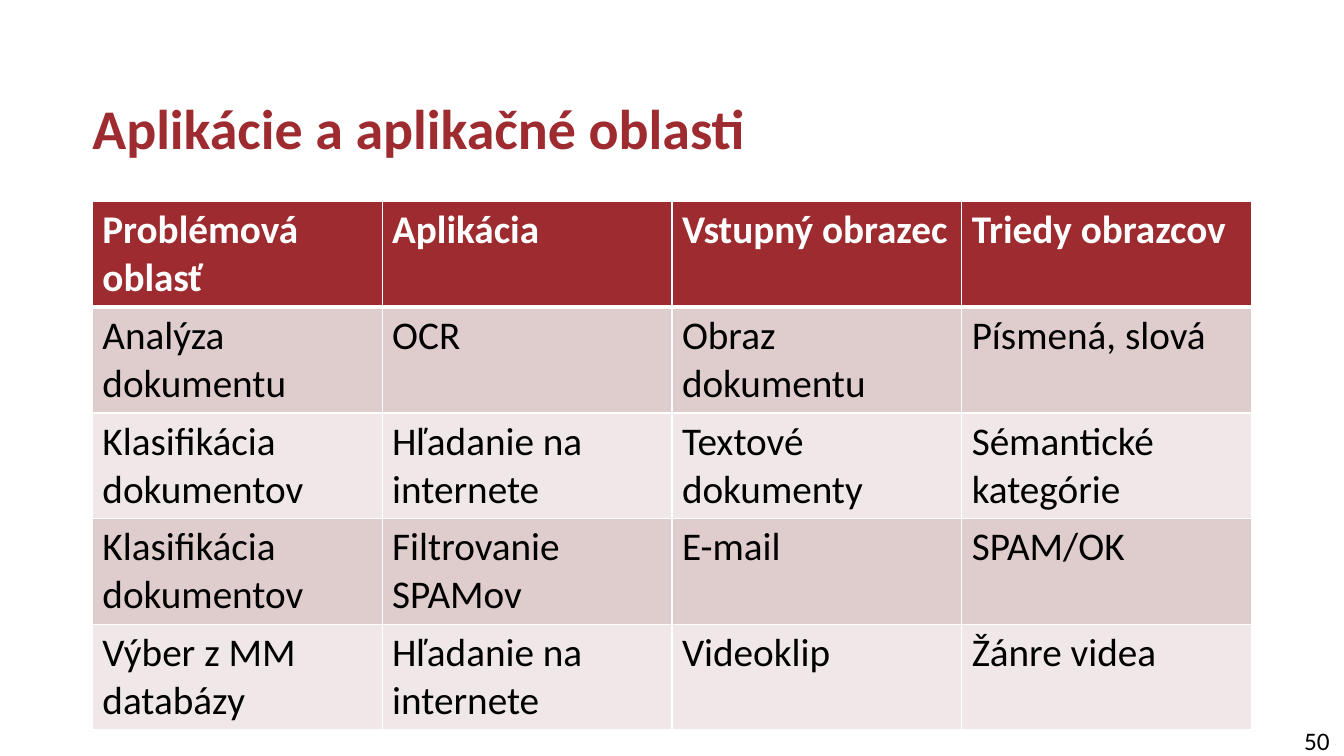
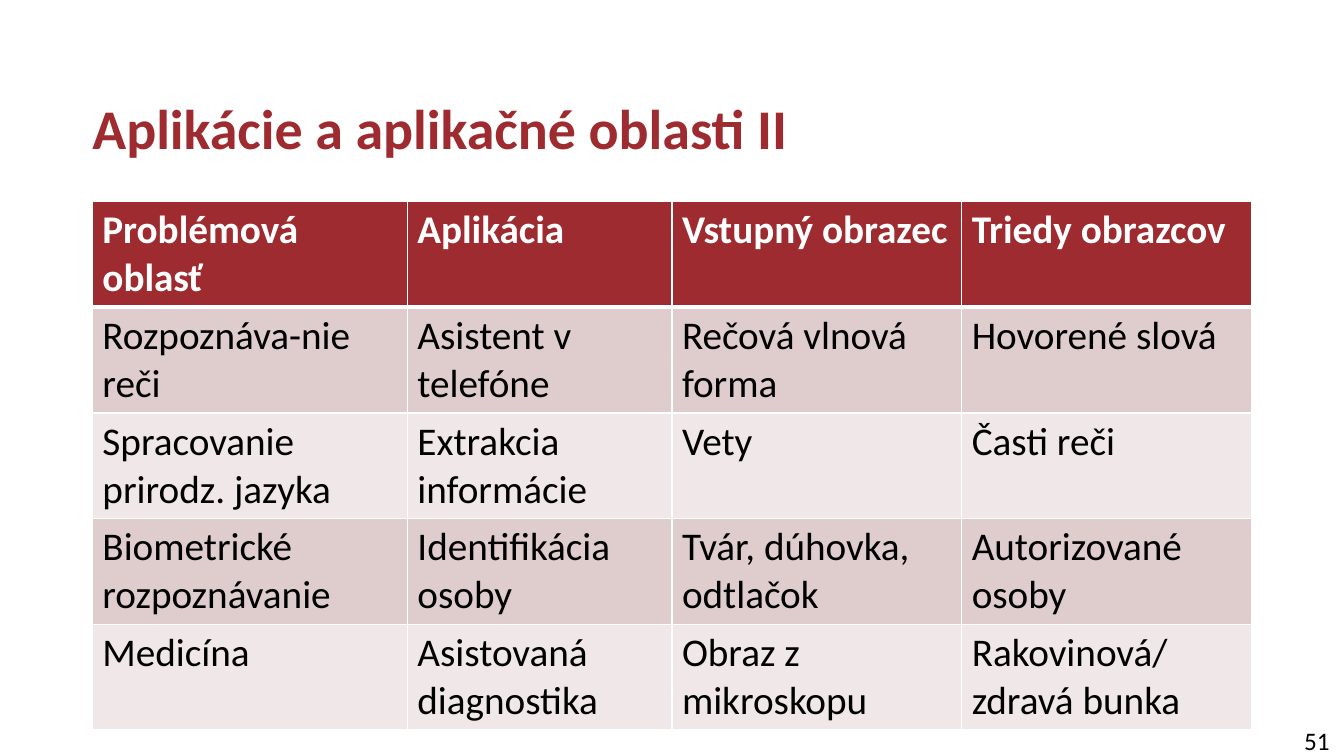
from pptx import Presentation
from pptx.dml.color import RGBColor
from pptx.enum.text import MSO_ANCHOR
from pptx.oxml.ns import qn
from pptx.util import Pt
from lxml.etree import SubElement

HUES = {"red": "9E2B2F", "rose": "DFCDCD", "pale": "F0E8E8",
        "white": "FFFFFF", "black": "000000"}
FONTS = {
    "title": {"size": Pt(40), "bold": True, "hue": "red"},
    "head": {"size": Pt(28), "bold": True, "hue": "white"},
    "body": {"size": Pt(28), "bold": False, "hue": "black"},
    "page": {"size": Pt(18), "bold": False, "hue": "black"},
}
LEFT, ROW = 66, 75.5
HEAD = ["Problémová oblasť", "Aplikácia", "Vstupný obrazec", "Triedy obrazcov"]
SLIDES = [
    (50, "Aplikácie a aplikačné oblasti", [207, 207, 207, 207], [
        ["Analýza dokumentu", "OCR", "Obraz dokumentu", "Písmená, slová"],
        ["Klasifikácia dokumentov", "Hľadanie na internete",
         "Textové dokumenty", "Sémantické kategórie"],
        ["Klasifikácia dokumentov", "Filtrovanie SPAMov", "E-mail", "SPAM/OK"],
        ["Výber z MM databázy", "Hľadanie na internete", "Videoklip", "Žánre videa"],
    ]),
    (51, "Aplikácie a aplikačné oblasti II", [225, 189, 207, 207], [
        ["Rozpoznáva-nie reči", "Asistent v telefóne",
         "Rečová vlnová forma", "Hovorené slová"],
        ["Spracovanie prirodz. jazyka", "Extrakcia informácie", "Vety", "Časti reči"],
        ["Biometrické rozpoznávanie", "Identifikácia osoby",
         "Tvár, dúhovka, odtlačok", "Autorizované osoby"],
        ["Medicína", "Asistovaná diagnostika",
         "Obraz z mikroskopu", "Rakovinová/ zdravá bunka"],
    ]),
]


def color(hue):
    return RGBColor.from_string(HUES[hue])


def write(frame, text, style):
    para = frame.paragraphs[0]
    run = para.add_run()
    run.text = text
    run.font.name = "Calibri"
    for key, value in FONTS[style].items():
        if key == "hue":
            run.font.color.rgb = color(value)
        else:
            setattr(run.font, key, value)
    return para


def add_text(slide, place, text, style, **props):
    frame = slide.shapes.add_textbox(*map(Pt, place)).text_frame
    for key, value in props.items():
        setattr(frame, key, value)
    return write(frame, text, style)


def add_edges(cell, top, base):
    props = cell._tc.get_or_add_tcPr()
    for side, width in {"L": 1, "R": 1, "T": top, "B": base}.items():
        line = SubElement(props, qn("a:ln" + side), w=str(Pt(width)))
        fill = SubElement(line, qn("a:solidFill"))
        SubElement(fill, qn("a:srgbClr"), val=HUES["white"])


def add_grid(slide, widths, rows):
    table = slide.shapes.add_table(
        len(rows), len(widths), Pt(LEFT), Pt(144),
        Pt(sum(widths)), Pt(ROW * len(rows))).table
    for column, width in zip(table.columns, widths):
        column.width = Pt(width)
    for r, row in enumerate(rows):
        table.rows[r].height = Pt(ROW)
        hue = "red" if r == 0 else ("pale", "rose")[r % 2]
        for c, text in enumerate(row):
            cell = table.cell(r, c)
            add_edges(cell, 3 if r == 1 else 1, 3 if r == 0 else 1)
            cell.fill.solid()
            cell.fill.fore_color.rgb = color(hue)
            write(cell.text_frame, text, "body" if r else "head")


def add_page(deck, number, title, widths, rows):
    slide = deck.slides.add_slide(deck.slide_layouts[6])
    add_text(slide, (924.5, 514.8, 35.5, 25.2), str(number), "page")
    para = add_text(slide, (LEFT, 55.5, 758, 77), title, "title", word_wrap=True,
                    margin_left=0, vertical_anchor=MSO_ANCHOR.MIDDLE)
    para.line_spacing = 0.9
    add_grid(slide, widths, [HEAD] + rows)


def main():
    deck = Presentation()
    deck.slide_width, deck.slide_height = Pt(960), Pt(540)
    for page in SLIDES:
        add_page(deck, *page)
    deck.save("out.pptx")


if __name__ == "__main__":
    main()
